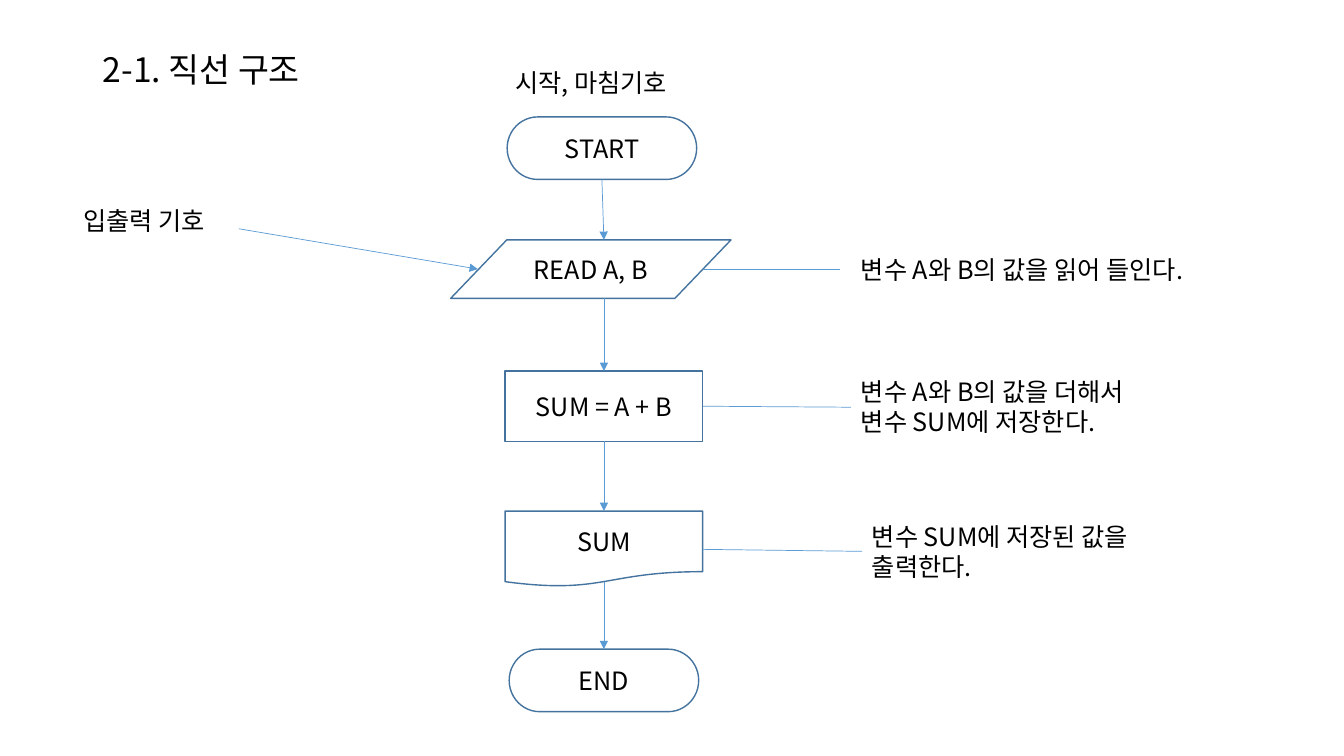
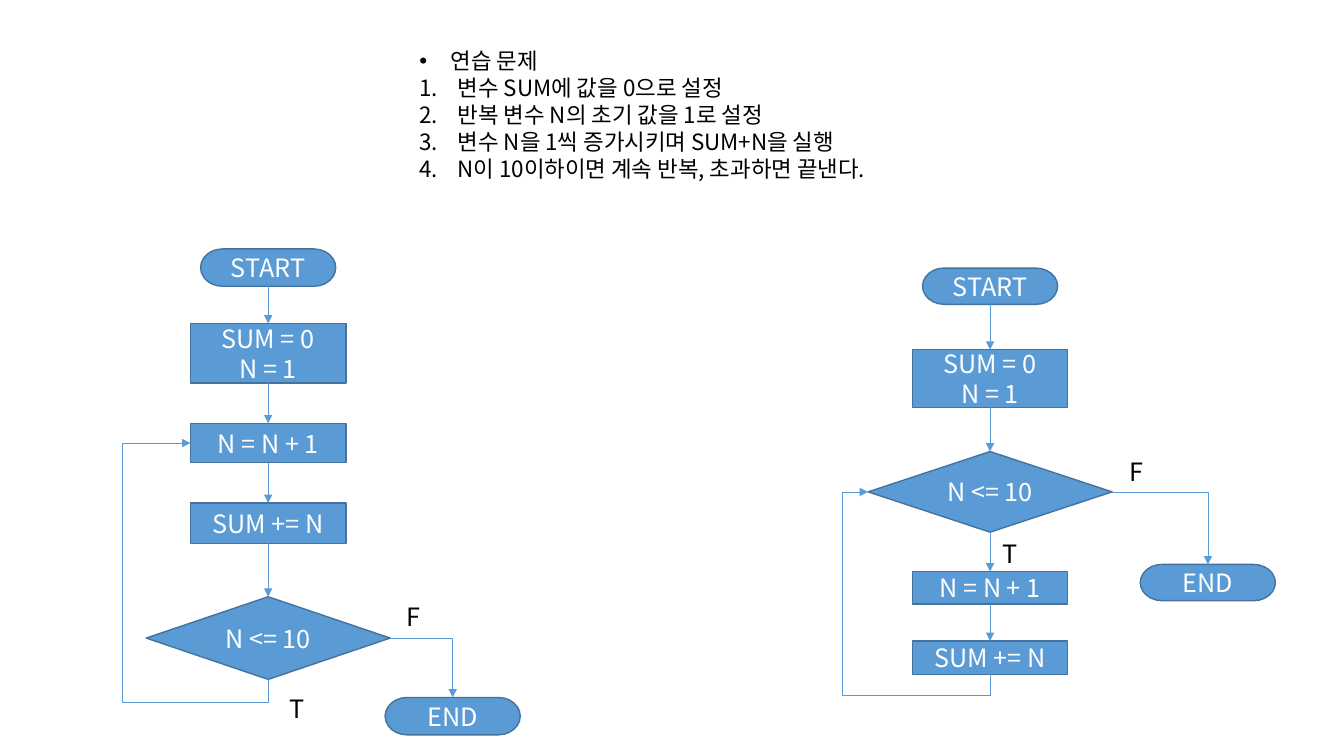
from dataclasses import dataclass

from lxml.etree import SubElement
from pptx import Presentation
from pptx.dml.color import RGBColor
from pptx.enum.shapes import MSO_CONNECTOR as Line, MSO_SHAPE as Preset
from pptx.enum.text import MSO_ANCHOR as Anchor, MSO_AUTO_SIZE as AutoSize, PP_ALIGN as Align
from pptx.oxml.ns import qn
from pptx.util import Inches, Pt

FONT = "Noto Sans CJK KR"
BLACK, WHITE, BLUE, OUTLINE = "000000", "FFFFFF", "5B9BD5", "43739E"
TOP, LEFT, BOTTOM, RIGHT = range(4)  # connection sites
STEP_WIDTHS = {
    Preset.FLOWCHART_TERMINATOR: 1.34,
    Preset.FLOWCHART_PROCESS: 1.54,
    Preset.FLOWCHART_DECISION: 2.42,
}


@dataclass(frozen=True)
class Node:
    """A flowchart symbol with its place in inches."""
    text: str
    preset: Preset
    left: float
    top: float
    width: float
    height: float


@dataclass(frozen=True)
class Label:
    """A free text with its place in inches."""
    text: str
    left: float
    top: float
    width: float
    height: float
    wrap: bool = False


@dataclass(frozen=True)
class Step:
    """A symbol centred on the axis of its flow."""
    text: str
    preset: Preset
    top: float
    height: float


@dataclass(frozen=True)
class Flow:
    """A loop flowchart: a column of steps, an exit and a way back."""
    axis: float
    steps: tuple[Step, ...]
    test: int
    loop_target: int
    loop_left: float
    loop_bottom: float
    end: Node
    labels: tuple[Label, ...]


def rgb(color: str) -> RGBColor:
    """Turn a hex string into a colour."""
    return RGBColor.from_string(color)


def write(shape, text: str, *, size: float = 18, color: str = BLACK, align=Align.LEFT,
          anchor=Anchor.TOP, wrap: bool = True, auto_size=AutoSize.NONE,
          spacing: float = 1.0) -> None:
    """Fill a shape with formatted text, one paragraph a line."""
    frame = shape.text_frame
    frame.text = text
    frame.word_wrap = wrap
    frame.auto_size = auto_size
    frame.vertical_anchor = anchor
    for paragraph in frame.paragraphs:
        paragraph.alignment = align
        paragraph.line_spacing = spacing
        paragraph.space_before = Pt(0)
        for run in paragraph.runs:
            run.font.name = FONT
            run.font.size = Pt(size)
            run.font.color.rgb = rgb(color)
            SubElement(run.font._element, qn("a:ea")).set("typeface", FONT)


def place(shape, left: float, top: float, width: float, height: float) -> None:
    """Move and size a shape."""
    shape.left, shape.top = Inches(left), Inches(top)
    shape.width, shape.height = Inches(width), Inches(height)


def add_node(shapes, node: Node, fill: str | None = None, color: str = BLACK):
    """Draw a flowchart symbol."""
    symbol = shapes.add_shape(node.preset, Inches(node.left), Inches(node.top),
                              Inches(node.width), Inches(node.height))
    symbol.shadow.inherit = False
    if fill:
        symbol.fill.solid()
        symbol.fill.fore_color.rgb = rgb(fill)
    else:
        symbol.fill.background()
    symbol.line.color.rgb = rgb(OUTLINE)
    symbol.line.width = Pt(1)
    write(symbol, node.text, color=color, align=Align.CENTER, anchor=Anchor.MIDDLE)
    return symbol


def add_label(shapes, label: Label) -> None:
    """Draw a free text."""
    box = shapes.add_textbox(Inches(label.left), Inches(label.top),
                             Inches(label.width), Inches(label.height))
    write(box, label.text, wrap=label.wrap, auto_size=AutoSize.SHAPE_TO_FIT_TEXT)


def add_line(shapes, start=(0, 0), end=(0, 0), *, arrow: bool = True, kind=Line.STRAIGHT):
    """Draw a thin connector, with an arrowhead unless told otherwise."""
    line = shapes.add_connector(kind, *(Inches(value) for value in (*start, *end)))
    line.line.color.rgb = rgb(BLUE)
    line.line.width = Pt(0.5)
    if arrow:
        SubElement(line.line._get_or_add_ln(), qn("a:tailEnd")).set("type", "triangle")
    SubElement(line._element.spPr, qn("a:effectLst"))
    return line


def join(shapes, source, target, sites=(BOTTOM, TOP), kind=Line.STRAIGHT):
    """Glue an arrow to two symbols."""
    line = add_line(shapes, kind=kind)
    line.begin_connect(source, sites[0])
    line.end_connect(target, sites[1])
    return line


def bend(line, preset: str, *adjustments: float) -> None:
    """Set the preset of an elbow connector and its adjustments."""
    geometry = line._element.spPr.find(qn("a:prstGeom"))
    geometry.set("prst", preset)
    guides = geometry.find(qn("a:avLst"))
    for number, value in enumerate(adjustments, 1):
        guide = SubElement(guides, qn("a:gd"))
        guide.set("name", f"adj{number}")
        guide.set("fmla", f"val {round(value * 100000)}")


def join_back(shapes, source, target, left: float, bottom: float) -> None:
    """Lead an arrow from below the source, round the left, into the target."""
    line = join(shapes, source, target, (BOTTOM, LEFT), Line.ELBOW)
    start_x, start_y, end_x, end_y = line.begin_x, line.begin_y, line.end_x, line.end_y
    rise, run = start_y - end_y, start_x - end_x
    bend(line, "bentConnector4", (start_y - Inches(bottom)) / rise,
         (start_x - Inches(left)) / run)
    # The frame is turned by 90 degrees, so its width is the rise.
    line.left, line.top = (start_x + end_x - rise) // 2, (start_y + end_y - run) // 2
    line.width, line.height = rise, run
    frame = line._element.spPr.find(qn("a:xfrm"))
    frame.attrib.pop("flipV", None)
    frame.set("rot", str(90 * 60000))
    frame.set("flipH", "1")


def add_flow(slide, flow: Flow) -> None:
    """Draw a loop flowchart as one group."""
    shapes = slide.shapes.add_group_shape().shapes
    symbols = []
    for step in flow.steps:
        width = STEP_WIDTHS[step.preset]
        node = Node(step.text, step.preset, flow.axis - width / 2, step.top, width, step.height)
        symbols.append(add_node(shapes, node, BLUE, WHITE))
    for source, target in zip(symbols, symbols[1:]):
        join(shapes, source, target)
    join_back(shapes, symbols[-1], symbols[flow.loop_target], flow.loop_left, flow.loop_bottom)
    end = add_node(shapes, flow.end, BLUE, WHITE)
    bend(join(shapes, symbols[flow.test], end, (RIGHT, TOP), Line.ELBOW), "bentConnector2")
    for label in flow.labels:
        add_label(shapes, label)


def add_bullet(paragraph, indent: float, tag: str, **attributes: str) -> None:
    """Give a paragraph a hanging bullet or number."""
    properties = paragraph._p.get_or_add_pPr()
    properties.set("marL", str(Inches(indent)))
    properties.set("indent", str(-Inches(indent)))
    SubElement(properties, qn("a:buFont")).set("typeface", "Arial" if tag == "a:buChar" else FONT)
    bullet = SubElement(properties, qn(tag))
    for name, value in attributes.items():
        bullet.set(name, value)


def build_linear(deck) -> None:
    """Build the slide on the straight-line structure."""
    slide = deck.slides.add_slide(deck.slide_layouts[5])
    shapes = slide.shapes
    place(shapes.title, 0.92, 0.4, 11.5, 0.63)
    write(shapes.title, "2-1. 직선 구조", size=24, anchor=Anchor.MIDDLE, spacing=0.9)
    nodes = (
        Node("START", Preset.FLOWCHART_TERMINATOR, 5.03, 1.16, 1.88, 0.62),
        Node("READ A, B", Preset.FLOWCHART_DATA, 4.47, 2.38, 2.78, 0.58),
        Node("SUM = A + B", Preset.FLOWCHART_PROCESS, 5.01, 3.68, 1.96, 0.7),
        Node("SUM", Preset.FLOWCHART_DOCUMENT, 5.01, 5.07, 1.96, 0.75),
        Node("END", Preset.FLOWCHART_TERMINATOR, 5.05, 6.44, 1.88, 0.62),
    )
    _, _, addition, output, _ = [add_node(shapes, node) for node in nodes]
    join(shapes, addition, output)
    for start, end in (
        ((5.97, 1.78), (5.99, 2.38)),
        ((5.99, 2.96), (5.99, 3.68)),
        ((5.99, 5.77), (5.99, 6.44)),
        ((2.37, 2.27), (4.74, 2.67)),
    ):
        add_line(shapes, start, end)
    for start, end in (
        ((6.97, 2.67), (8.33, 2.67)),
        ((6.97, 4.03), (8.44, 4.04)),
        ((6.97, 5.45), (8.55, 5.47)),
    ):
        add_line(shapes, start, end, arrow=False)
    for label in (
        Label("시작, 마침기호", 5.01, 0.62, 1.92, 0.4, wrap=True),
        Label("입출력 기호", 0.73, 1.99, 1.55, 0.4),
        Label("변수 A와 B의 값을 읽어 들인다.", 8.44, 2.47, 3.88, 0.4, wrap=True),
        Label("변수 A와 B의 값을 더해서\n변수 SUM에 저장한다.", 8.44, 3.68, 3.15, 0.71),
        Label("변수 SUM에 저장된 값을\n출력한다.", 8.55, 5.12, 3.03, 0.71),
    ):
        add_label(shapes, label)


def build_exercise(deck) -> None:
    """Build the exercise slide with its two loop flowcharts."""
    slide = deck.slides.add_slide(deck.slide_layouts[1])
    title, tasks = slide.placeholders
    title._element.getparent().remove(title._element)
    place(tasks, 4.06, 0.42, 5.08, 1.45)
    write(tasks, "\n".join((
        "연습 문제",
        "변수 SUM에 값을 0으로 설정",
        "반복 변수 N의 초기 값을 1로 설정",
        "변수 N을 1씩 증가시키며 SUM+N을 실행",
        "N이 10이하이면 계속 반복, 초과하면 끝낸다.",
    )), size=16)
    heading, *numbered = tasks.text_frame.paragraphs
    add_bullet(heading, 0.31, "a:buChar", char="•")
    for paragraph in numbered:
        add_bullet(paragraph, 0.38, "a:buAutoNum", type="arabicPeriod")

    terminator, process, decision = STEP_WIDTHS
    add_flow(slide, Flow(
        axis=9.82,
        steps=(
            Step("START", terminator, 2.66, 0.36),
            Step("SUM = 0\nN = 1", process, 3.47, 0.57),
            Step("N <= 10", decision, 4.48, 0.8),
            Step("N = N + 1", process, 5.67, 0.32),
            Step("SUM += N", process, 6.36, 0.33),
        ),
        test=2, loop_target=2, loop_left=8.36, loop_bottom=6.9,
        end=Node("END", terminator, 11.31, 5.6, 1.34, 0.36),
        labels=(Label("T", 9.84, 5.29, 0.33, 0.35), Label("F", 11.1, 4.48, 0.32, 0.35)),
    ))
    add_flow(slide, Flow(
        axis=2.66,
        steps=(
            Step("START", terminator, 2.47, 0.37),
            Step("SUM = 0\nN = 1", process, 3.21, 0.59),
            Step("N = N + 1", process, 4.2, 0.39),
            Step("SUM += N", process, 4.99, 0.4),
            Step("N <= 10", decision, 5.92, 0.82),
        ),
        test=4, loop_target=2, loop_left=1.21, loop_bottom=6.97,
        end=Node("END", terminator, 3.82, 6.92, 1.34, 0.37),
        labels=(Label("T", 2.77, 6.83, 0.33, 0.36), Label("F", 3.93, 5.92, 0.32, 0.36)),
    ))


def main() -> None:
    """Build and save the presentation."""
    deck = Presentation()
    deck.slide_width, deck.slide_height = Inches(13.33), Inches(7.5)
    build_linear(deck)
    build_exercise(deck)
    deck.save("out.pptx")


main()
